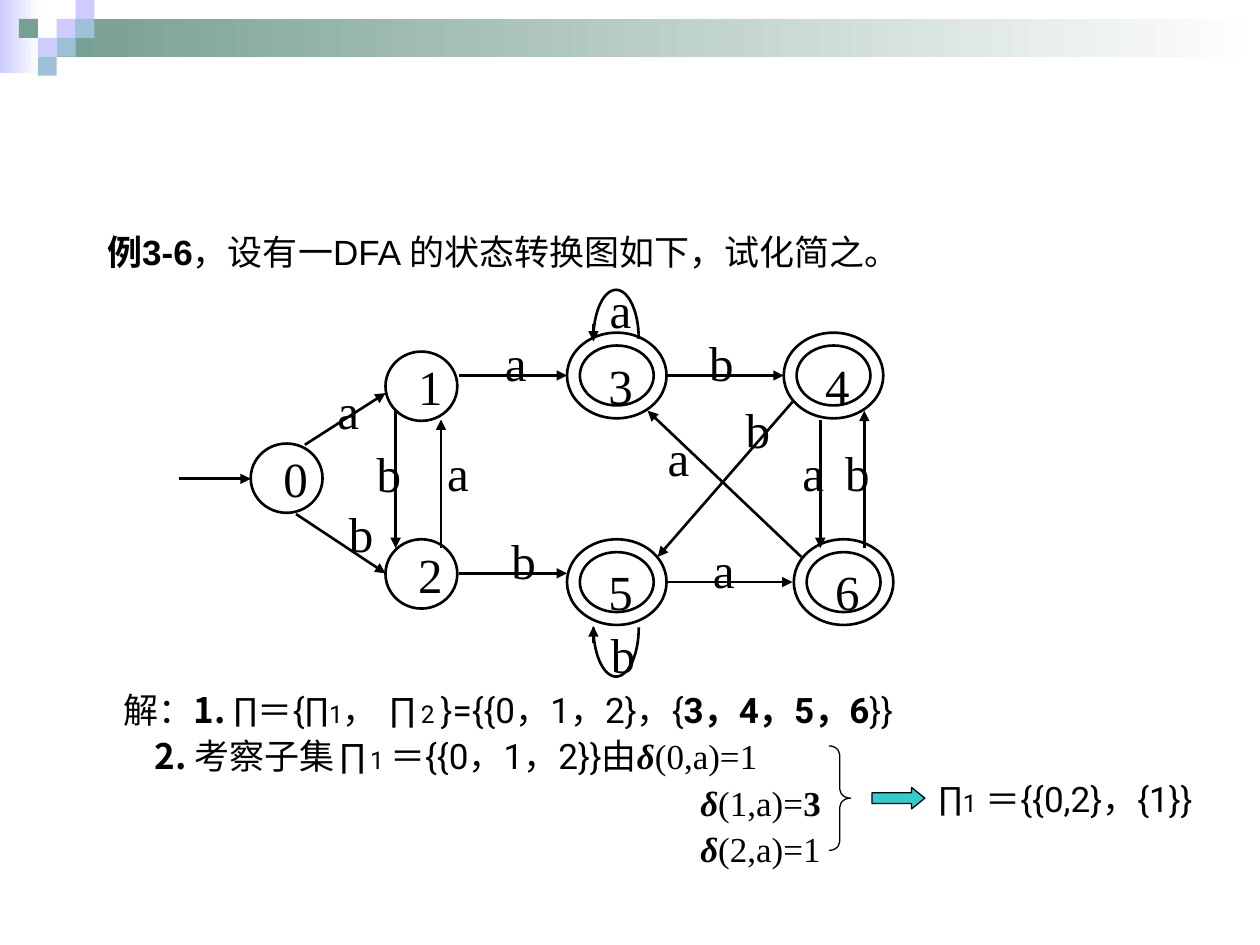
from dataclasses import dataclass

from lxml import etree
from pptx import Presentation
from pptx.dml.color import RGBColor
from pptx.enum.shapes import MSO_CONNECTOR, MSO_SHAPE
from pptx.enum.text import MSO_AUTO_SIZE as AutoSize
from pptx.oxml.ns import qn
from pptx.util import Inches, Pt


@dataclass(frozen=True)
class Theme:
    ink: str = "000000"
    paper: str = "FFFFFF"
    green: str = "779F92"
    lilac: str = "CCCCFF"
    blue: str = "9DC2D7"
    teal: str = "33CCCC"
    heading: str = "Arial"
    cjk: str = "Noto Sans CJK SC"
    formula: str = "Roboto"
    serif: str = "Times New Roman"
    body_size: int = 20
    index_size: int = 14
    label_size: int = 28
    line: float = 1.5
    thin_line: float = 0.75


THEME = Theme()


@dataclass(frozen=True)
class Box:
    left: float
    top: float
    width: float
    height: float

    def inner(self, x, y, width, height):
        return Box(self.left + x, self.top + y, width, height)

    def point(self, x, y):
        return Inches(self.left + x), Inches(self.top + y)

    def lengths(self):
        return [Inches(v) for v in (self.left, self.top, self.width, self.height)]


def rgb(color):
    return RGBColor.from_string(color)


def add_run(paragraph, text, font=THEME.serif, size=THEME.body_size, bold=False, italic=False):
    run = paragraph.add_run()
    run.text = text
    run.font.name, run.font.size = font, Pt(size)
    run.font.bold, run.font.italic = bold, italic
    run.font.color.rgb = rgb(THEME.ink)
    latin = run.font._element.find(qn("a:latin"))
    east_asian = etree.Element(qn("a:ea"), typeface=THEME.cjk)
    latin.addnext(east_asian)


def add_text_box(shapes, box, wrap=False):
    frame = shapes.add_textbox(*box.lengths()).text_frame
    frame.word_wrap = wrap
    frame.auto_size = AutoSize.SHAPE_TO_FIT_TEXT
    return frame


def add_label(shapes, box, text):
    frame = add_text_box(shapes, box)
    add_run(frame.paragraphs[0], text, size=THEME.label_size)


def set_indent(paragraph, margin, first=0):
    properties = paragraph._p.get_or_add_pPr()
    properties.set("marL", str(Inches(margin)))
    properties.set("indent", str(Inches(first)))
    etree.SubElement(properties, qn("a:buNone"))


def add_outline(shapes, kind, box, fill=None, line=None, adjust=()):
    shape = shapes.add_shape(kind, *box.lengths())
    shape.shadow.inherit = False
    if fill:
        shape.fill.solid()
        shape.fill.fore_color.rgb = rgb(fill)
    else:
        shape.fill.background()
    if line:
        shape.line.color.rgb = rgb(THEME.ink)
        shape.line.width = Pt(line)
    else:
        shape.line.fill.background()
    for index, value in enumerate(adjust):
        shape.adjustments[index] = value
    return shape


def add_arrow(shapes, start, end):
    arrow = shapes.add_connector(MSO_CONNECTOR.STRAIGHT, *start, *end)
    arrow.line.color.rgb = rgb(THEME.ink)
    arrow.line.width = Pt(THEME.line)
    etree.SubElement(arrow.line._get_or_add_ln(), qn("a:tailEnd"), type="triangle")
    etree.SubElement(arrow._element.spPr, qn("a:effectLst"))


def draw_header(slide, box):
    shapes = slide.shapes.add_group_shape().shapes
    fades = [((0, 0, 0.31, 0.58), THEME.lilac),
             ((0.45, 0.15, box.width - 0.45, 0.3), THEME.green)]
    for place, color in fades:
        fill = add_outline(shapes, MSO_SHAPE.RECTANGLE, box.inner(*place)).fill
        fill.gradient()
        fill.gradient_angle = 0
        for stop, stop_color in zip(fill.gradient_stops, (color, THEME.paper)):
            stop.color.rgb = rgb(stop_color)
    side = 0.15
    tiles = [(3, 1, THEME.lilac), (4, 0, THEME.lilac), (4, 1, THEME.blue),
             (2, 2, THEME.lilac), (1, 1, THEME.green), (3, 2, THEME.blue),
             (2, 3, THEME.blue)]
    for column, row, color in tiles:
        tile = box.inner(column * side, row * side, side, side)
        add_outline(shapes, MSO_SHAPE.RECTANGLE, tile, fill=color)


def draw_question(slide, box):
    body = slide.placeholders[1]
    body.left, body.top, body.width, body.height = box.lengths()
    body.text_frame.auto_size = AutoSize.NONE
    question = body.text_frame.paragraphs[0]
    set_indent(question, 0.81, -0.31)
    question.space_before = Pt(0)
    add_run(question, "例3-6", font=THEME.heading, bold=True)
    add_run(question, "，设有一DFA 的状态转换图如下，试化简之。", font=THEME.heading)


def draw_automaton(slide, box):
    shapes = slide.shapes.add_group_shape().shapes
    states = [("0", 0.88, 1.7), ("1", 1.95, 0.97), ("2", 1.95, 2.46)]
    final_states = [("3", 3.49, 0.88), ("4", 5.21, 0.88),
                    ("5", 3.49, 2.52), ("6", 5.29, 2.52)]
    for name, x, y in states:
        circle = box.inner(x - 0.29, y - 0.28, 0.57, 0.55)
        add_outline(shapes, MSO_SHAPE.OVAL, circle, line=THEME.line)
        add_label(shapes, box.inner(x - 0.13, y - 0.29, 0.39, 0.57), name)
    for name, x, y in final_states:
        ring = box.inner(x - 0.39, y - 0.34, 0.79, 0.68)
        add_outline(shapes, MSO_SHAPE.DONUT, ring, line=THEME.line, adjust=[0.15])
        add_label(shapes, box.inner(x - 0.16, y - 0.21, 0.39, 0.57), name)

    half_turn = 108
    for top, angles in [(0.2, (half_turn, 0)), (2.49, (0, half_turn))]:
        loop = box.inner(3.31, top, 0.36, 0.78)
        add_outline(shapes, MSO_SHAPE.ARC, loop, line=THEME.line, adjust=angles)

    add_arrow(shapes, box.point(0.02, 1.7), box.point(0.59, 1.7))
    transitions = [
        ("a", (1.02, 1.43), (1.66, 1.02), (1.18, 0.87)),
        ("b", (0.95, 1.98), (1.66, 2.45), (1.27, 1.85)),
        ("b", (1.74, 1.16), (1.74, 2.25), (1.49, 1.37)),
        ("a", (2.1, 2.25), (2.1, 1.23), (2.05, 1.36)),
        ("a", (2.24, 0.88), (3.1, 0.88), (2.51, 0.49)),
        ("b", (2.24, 2.45), (3.1, 2.45), (2.56, 2.06)),
        ("b", (3.89, 0.88), (4.82, 0.88), (4.13, 0.49)),
        ("a", (3.89, 2.52), (4.89, 2.52), (4.16, 2.13)),
        ("b", (4.89, 1.09), (3.82, 2.32), (4.42, 1.02)),
        ("a", (4.96, 2.32), (3.74, 1.16), (3.8, 1.24)),
        ("a", (5.11, 1.23), (5.11, 2.25), (4.87, 1.36)),
        ("b", (5.46, 2.25), (5.46, 1.16), (5.21, 1.36)),
        ("a", (3.31, 0.47), (3.31, 0.61), (3.34, 0.07)),
        ("b", (3.31, 3), (3.31, 2.87), (3.35, 2.81)),
    ]
    for symbol, start, end, label in transitions:
        add_arrow(shapes, box.point(*start), box.point(*end))
        add_label(shapes, box.inner(*label, 0.37 if symbol == "a" else 0.39, 0.57), symbol)


def draw_result(slide, box):
    shapes = slide.shapes.add_group_shape().shapes
    add_outline(shapes, MSO_SHAPE.RIGHT_BRACE, box.inner(0, 0, 0.17, 0.83),
                line=THEME.thin_line, adjust=[0.42, 0.5])
    add_outline(shapes, MSO_SHAPE.RIGHT_ARROW, box.inner(0.34, 0.33, 0.42, 0.17),
                fill=THEME.teal, line=THEME.thin_line, adjust=[0.5, 0.62])
    result = add_text_box(shapes, box.inner(0.77, 0.2, 2.67, 0.44)).paragraphs[0]
    add_run(result, "∏", font=THEME.formula)
    add_run(result, "1", font=THEME.formula, size=THEME.index_size)
    add_run(result, " ＝{{0,2}，{1}}", font=THEME.formula)


def draw_solution(slide, box):
    frame = add_text_box(slide.shapes, box, wrap=True)
    formula = {"font": THEME.formula}
    index = {"font": THEME.formula, "size": THEME.index_size}
    cjk = {"font": THEME.cjk}
    delta = ("δ", {"bold": True, "italic": True})
    steps = [
        (0.5, [("解：", cjk), ("1. ", {**cjk, "bold": True}), ("∏＝{∏", formula),
               ("1", index), ("， ∏", formula), ("2 ", index),
               ("}={{0，1，2}，{", formula), ("3，4，5，6", {**formula, "bold": True}),
               ("}}", formula)]),
        (0.75, [("2. ", {**cjk, "bold": True}), ("考察子集", cjk), ("∏", formula),
                ("1 ", index), ("＝{{0，1，2}}由", formula), delta, ("(0,a)=1", {})]),
        (5.08, [delta, ("(1,a)=", {}), ("3", {"bold": True})]),
        (5.08, [delta, ("(2,a)=1", {})]),
    ]
    for number, (margin, runs) in enumerate(steps):
        step = frame.add_paragraph() if number else frame.paragraphs[0]
        set_indent(step, margin)
        step.line_spacing = 0.9
        step.space_before = Pt(5 if number else 0)
        for text, style in runs:
            add_run(step, text, **style)


def main():
    deck = Presentation()
    deck.slide_width, deck.slide_height = Inches(10), Inches(7.5)
    slide = deck.slides.add_slide(deck.slide_layouts[1])
    title = slide.shapes.title._element
    title.getparent().remove(title)
    draw_header(slide, Box(0, 0, 10, 0.6))
    draw_question(slide, Box(0.25, 1.78, 8.67, 4.92))
    draw_automaton(slide, Box(1.4, 2.1, 5.7, 3.4))
    draw_result(slide, Box(6.58, 5.92, 3.44, 0.83))
    draw_solution(slide, Box(0.38, 5.45, 8.37, 1.84))
    deck.save("out.pptx")


if __name__ == "__main__":
    main()
